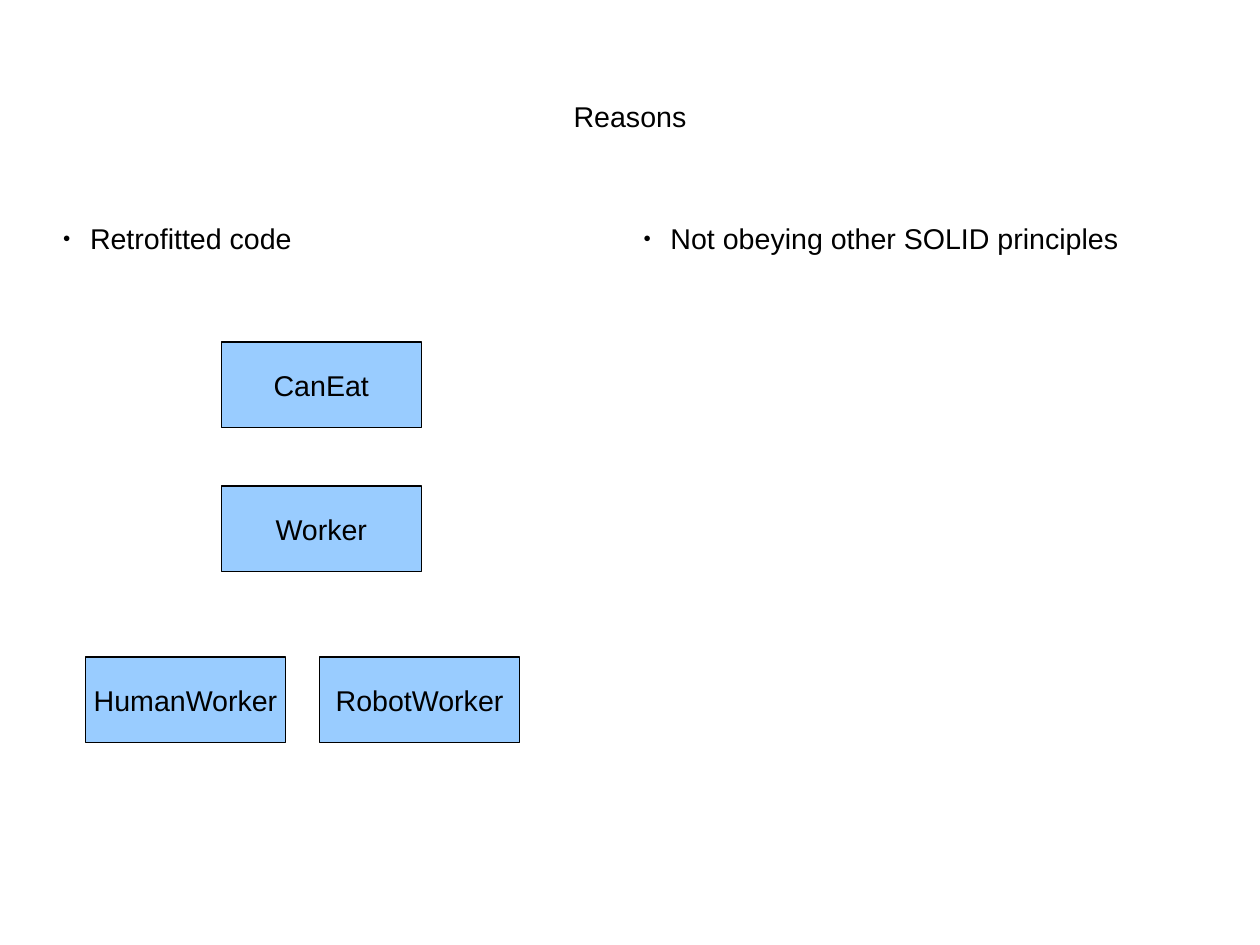
import pptx
import pptx.dml.color
import pptx.enum.shapes
import pptx.enum.text
import pptx.util
from lxml import etree
from pptx.oxml.ns import qn

SLIDE_WIDTH, SLIDE_HEIGHT = 28, 21
MARGIN = 0.05 * SLIDE_WIDTH
COLUMN_WIDTH, COLUMN_STEP = 12.3, 12.9
CLASS_WIDTH, CLASS_HEIGHT = 4.45, 1.9
CLASS_ROWS = (7.6, 10.8, 14.6)
CLASS_LEFT, CLASS_STEP = 1.9, 5.2
PARENT_COLUMN = 0.58
BULLET_INDENT = 0.6

Cm = pptx.util.Cm
Pt = pptx.util.Pt
CENTER = pptx.enum.text.PP_ALIGN.CENTER
LEFT = pptx.enum.text.PP_ALIGN.LEFT
TOP = pptx.enum.text.MSO_ANCHOR.TOP
MIDDLE = pptx.enum.text.MSO_ANCHOR.MIDDLE


def color(hex_code):
    return pptx.dml.color.RGBColor.from_string(hex_code)


def write(frame, text, align, anchor, insets, wrap):
    frame.text = text
    frame.word_wrap = wrap
    frame.auto_size = pptx.enum.text.MSO_AUTO_SIZE.NONE
    frame.vertical_anchor = anchor
    frame.margin_left = frame.margin_right = Cm(insets[0])
    frame.margin_top = frame.margin_bottom = Cm(insets[1])
    line = frame.paragraphs[0]
    line.alignment = align
    line.space_before = Pt(0)
    for font in (line.font, line.runs[0].font):
        font.name = "Arial"
        font.size = Pt(18)
        font.color.rgb = color("000000")
    return line


def place(holder, left, top, width, height):
    holder.left, holder.top = Cm(left), Cm(top)
    holder.width, holder.height = Cm(width), Cm(height)


def add_heading(slide, text):
    heading = slide.shapes.title
    place(heading, MARGIN, 0.04 * SLIDE_HEIGHT, 0.9 * SLIDE_WIDTH, 3.5)
    write(heading.text_frame, text, CENTER, MIDDLE, (0, 0), True)


def add_reason(slide, column, text):
    reason = slide.placeholders[column + 1]
    place(reason, MARGIN + column * COLUMN_STEP, 4.9, COLUMN_WIDTH, 0.66 * SLIDE_HEIGHT)
    line = write(reason.text_frame, text, LEFT, TOP, (0, 0), True)
    properties = line._p.get_or_add_pPr()
    properties.set("marL", str(Cm(BULLET_INDENT)))
    properties.set("indent", str(-Cm(BULLET_INDENT)))
    defaults = properties.find(qn("a:defRPr"))
    for tag, key, value in (
        ("a:buSzPct", "val", "45000"),
        ("a:buFont", "typeface", "Arial"),
        ("a:buChar", "char", "●"),
    ):
        bullet = etree.Element(qn(tag))
        bullet.set(key, value)
        defaults.addprevious(bullet)


def add_class(slide, name, column, row):
    box = slide.shapes.add_shape(
        pptx.enum.shapes.MSO_SHAPE.RECTANGLE,
        Cm(CLASS_LEFT + column * CLASS_STEP),
        Cm(CLASS_ROWS[row]),
        Cm(CLASS_WIDTH),
        Cm(CLASS_HEIGHT),
    )
    box.shadow.inherit = False
    box.fill.solid()
    box.fill.fore_color.rgb = color("99CCFF")
    box.line.color.rgb = color("000000")
    box.line.width = Pt(0.71)
    write(box.text_frame, name, CENTER, MIDDLE, (0.25, 0.13), False)


def main():
    deck = pptx.Presentation()
    deck.slide_width = Cm(SLIDE_WIDTH)
    deck.slide_height = Cm(SLIDE_HEIGHT)
    slide = deck.slides.add_slide(deck.slide_layouts.get_by_name("Two Content"))

    add_heading(slide, "Reasons")
    for column, reason in enumerate(("Retrofitted code", "Not obeying other SOLID principles")):
        add_reason(slide, column, reason)
    for name, column, row in (
        ("Worker", PARENT_COLUMN, 1),
        ("HumanWorker", 0, 2),
        ("RobotWorker", 1, 2),
        ("CanEat", PARENT_COLUMN, 0),
    ):
        add_class(slide, name, column, row)

    deck.save("out.pptx")


if __name__ == "__main__":
    main()
